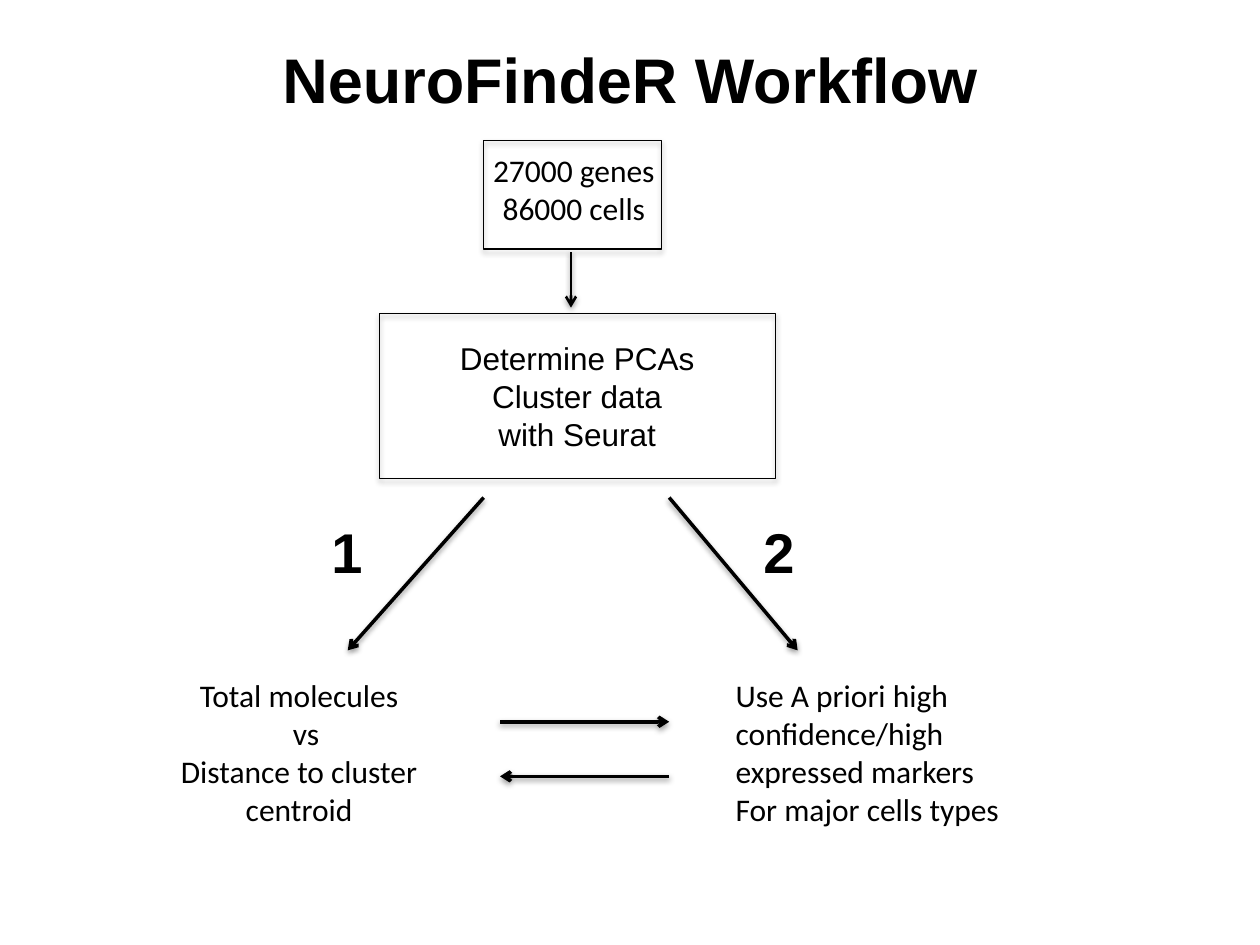
from dataclasses import dataclass

from lxml.etree import SubElement
from pptx import Presentation
from pptx.dml.color import RGBColor
from pptx.enum.shapes import MSO_CONNECTOR, MSO_SHAPE
from pptx.enum.text import PP_ALIGN
from pptx.oxml.ns import qn
from pptx.util import Cm, Pt

BLACK = "000000"


@dataclass
class Box:
    left: float
    top: float
    width: float
    height: float


@dataclass
class Label:
    box: Box
    lines: list[str]
    font: str = "Calibri"
    size: int = 18
    bold: bool = False
    align: PP_ALIGN = PP_ALIGN.CENTER
    wrap: bool = False


@dataclass
class Arrow:
    x1: float
    y1: float
    x2: float
    y2: float
    width: float = 2


def color(value: str) -> RGBColor:
    return RGBColor.from_string(value)


def set_line(line, width: float) -> None:
    line.color.rgb = color(BLACK)
    line.width = Pt(width)


def add_shadow(sp_pr, dist: int, alpha: int) -> None:
    effects = sp_pr.find(qn("a:effectLst"))
    if effects is None:
        effects = SubElement(sp_pr, qn("a:effectLst"))
    shadow = SubElement(effects, qn("a:outerShdw"), blurRad="40000",
                        dist=str(dist), dir="5400000", rotWithShape="0")
    rgb = SubElement(shadow, qn("a:srgbClr"), val=BLACK)
    SubElement(rgb, qn("a:alpha"), val=str(alpha * 1000))


def place(box: Box) -> tuple[Cm, Cm, Cm, Cm]:
    return Cm(box.left), Cm(box.top), Cm(box.width), Cm(box.height)


def draw_frame(s, box: Box) -> None:
    sp = s.shapes.add_shape(MSO_SHAPE.RECTANGLE, *place(box))
    sp.fill.background()
    set_line(sp.line, 0.75)
    sp.shadow.inherit = False
    add_shadow(sp._element.spPr, 23000, 35)


def draw_arrow(s, a: Arrow) -> None:
    sp = s.shapes.add_connector(MSO_CONNECTOR.STRAIGHT,
                                Cm(a.x1), Cm(a.y1), Cm(a.x2), Cm(a.y2))
    set_line(sp.line, a.width)
    SubElement(sp.line._get_or_add_ln(), qn("a:tailEnd"), type="arrow")
    add_shadow(sp._element.spPr, 20000, 38)


def draw_label(s, label: Label):
    tf = s.shapes.add_textbox(*place(label.box)).text_frame
    tf.word_wrap = label.wrap
    style = {"name": label.font, "size": Pt(label.size), "bold": label.bold}
    for i, text in enumerate(label.lines):
        p = tf.paragraphs[0] if i == 0 else tf.add_paragraph()
        p.alignment = label.align
        r = p.add_run()
        r.text = text
        for name, value in style.items():
            setattr(r.font, name, value)
        r.font.color.rgb = color(BLACK)
    return tf


FRAMES = [Box(9.75, 2.84, 3.58, 2.18), Box(7.65, 6.32, 7.98, 3.33)]

BRANCHES = [Arrow(9.75, 10.03, 7.01, 13.11), Arrow(13.49, 10.03, 16.08, 13.11)]

LINKS = [
    Arrow(11.51, 5.08, 11.51, 6.2, 1.5),
    Arrow(10.08, 14.55, 13.49, 14.55),
    Arrow(13.49, 15.65, 10.08, 15.65),
]

METHOD = Label(Box(3.35, 13.51, 5.36, 3.33),
               ["Total molecules", "vs", "Distance to cluster", "centroid"])

LABELS = [
    Label(Box(9.65, 2.92, 3.84, 1.8), ["27000 genes", "86000 cells"]),
    Label(Box(7.9, 6.71, 7.47, 3.33),
          ["Determine PCAs", "Cluster data", "with Seurat"],
          font="Arial", wrap=True),
    Label(Box(14.58, 13.51, 7.32, 3.33),
          ["Use A priori high confidence/high expressed markers",
           "For major cells types"], align=PP_ALIGN.LEFT, wrap=True),
    Label(Box(0, 0.69, 25.4, 1.8), ["NeuroFindeR Workflow"],
          "Arial", 36, True, wrap=True),
]


def main() -> None:
    prs = Presentation()
    prs.slide_width, prs.slide_height = Cm(25.4), Cm(19.05)
    s = prs.slides.add_slide(prs.slide_layouts[6])

    # Frames and the two branches
    for box in FRAMES:
        draw_frame(s, box)
    for arrow in BRANCHES:
        draw_arrow(s, arrow)

    # Texts; "vs" sits slightly right of centre
    for label in LABELS:
        draw_label(s, label)
    tf = draw_label(s, METHOD)
    tf.paragraphs[1]._p.get_or_add_pPr().set("marL", str(Cm(0.28)))

    # Branch numbers
    for number, left in (("1", 6.43), ("2", 15.14)):
        draw_label(s, Label(Box(left, 10.31, 1.14, 1.63), [number],
                            "Arial", 32, True, PP_ALIGN.LEFT))

    # Arrows between steps
    for arrow in LINKS:
        draw_arrow(s, arrow)

    prs.save("out.pptx")


if __name__ == "__main__":
    main()
